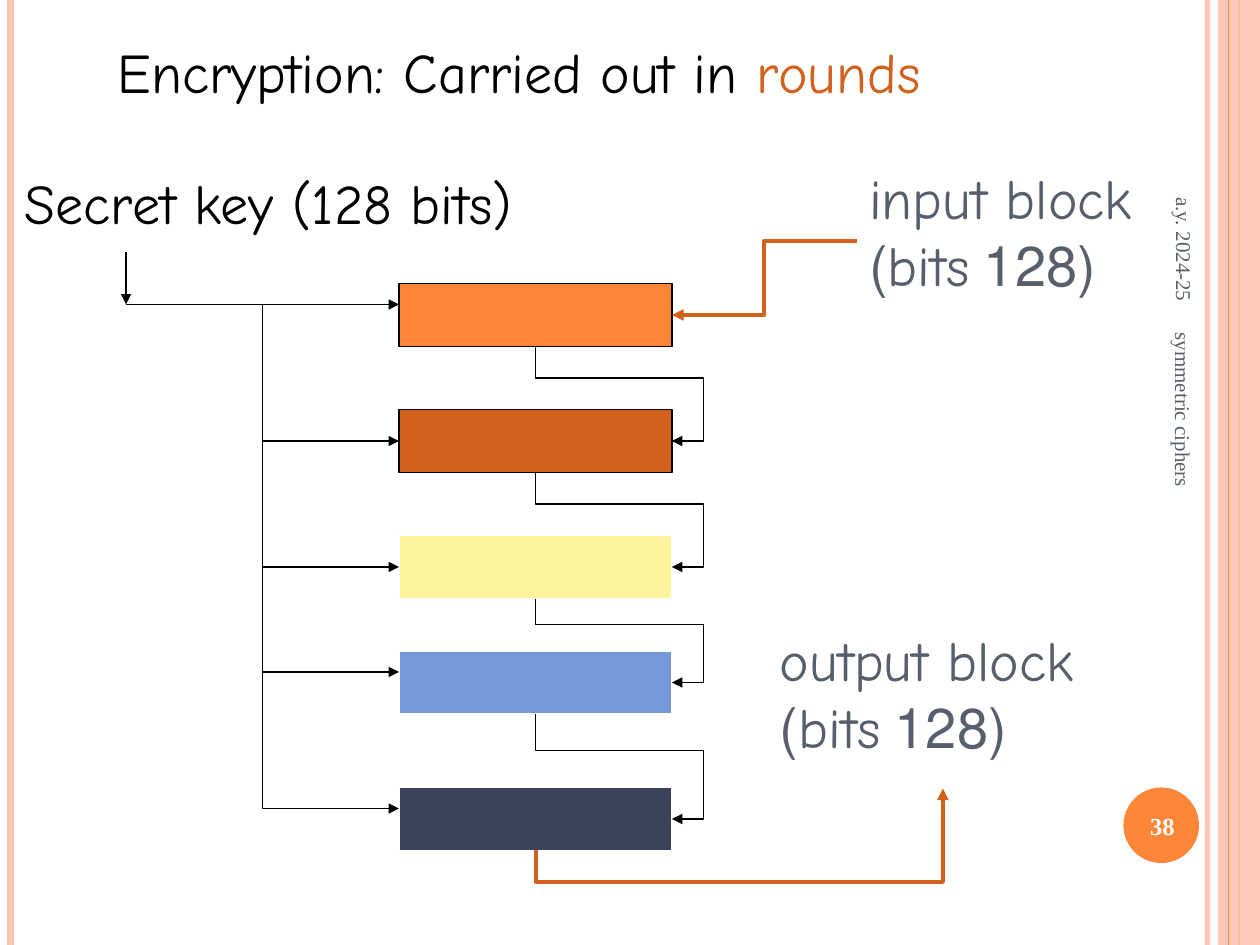
from itertools import pairwise
from lxml.etree import SubElement
from pptx import Presentation
from pptx.dml.color import RGBColor
from pptx.enum.shapes import MSO_CONNECTOR as CONN, MSO_SHAPE as SHAPE
from pptx.enum.text import MSO_ANCHOR as ANCHOR, PP_ALIGN as ALIGN
from pptx.oxml.ns import qn
from pptx.util import Inches, Pt

BLACK, WHITE, ORANGE, RUST = "000000", "FFFFFF", "FE8637", "D2611C"
PINK, SLATE = "FEC3AE", "575F6D"
HAND, SERIF = "Comic Neue", "Times New Roman"


def grid(n):
    """Length of n grid cells; the slide is 120 columns by 90 rows."""
    return Inches(n / 12)


def rgb(color):
    return RGBColor.from_string(color)


def set_alpha(fill, percent):
    color = fill._xPr.find(".//" + qn("a:srgbClr"))
    SubElement(color, qn("a:alpha")).set("val", str(percent * 1000))


class Deck:
    def __init__(self):
        self.prs = Presentation()
        self.prs.slide_width, self.prs.slide_height = grid(120), grid(90)
        self.s = self.prs.slides.add_slide(self.prs.slide_layouts[6])

    def shape(self, kind, x, y, w, h, fill, line=None, alpha=None):
        sp = self.s.shapes.add_shape(kind, *map(grid, (x, y, w, h)))
        sp.shadow.inherit = False
        sp.fill.solid()
        sp.fill.fore_color.rgb = rgb(fill)
        if alpha:
            set_alpha(sp.fill, alpha)
        if line:
            sp.line.color.rgb = rgb(line)
            sp.line.width = Pt(0.75)
        else:
            sp.line.fill.background()

    def line(self, start, end, color=BLACK, width=0.75, arrow=True,
             kind=CONN.STRAIGHT, alpha=None):
        c = self.s.shapes.add_connector(kind, *map(grid, start + end))
        c.line.color.rgb = rgb(color)
        c.line.width = Pt(width)
        if alpha:
            set_alpha(c.line.fill, alpha)
        if arrow:
            SubElement(c.line._get_or_add_ln(), qn("a:tailEnd")).set("type", "triangle")
        SubElement(c._element.spPr, qn("a:effectLst"))
        return c

    def elbow(self, start, end, bends, preset, **style):
        """Bent arrow that leaves vertically; bends are its shares of height, then width."""
        c = self.line(start, end, kind=CONN.ELBOW, **style)
        (x1, y1), (x2, y2) = start, end
        w, h = abs(y2 - y1), abs(x2 - x1)
        c.left, c.top = grid((x1 + x2 - w) / 2), grid((y1 + y2 - h) / 2)
        c.width, c.height = grid(w), grid(h)
        down = y2 > y1
        xfrm = c._element.spPr.find(qn("a:xfrm"))
        xfrm.set("rot", str((270 if down else 90) * 60000))
        xfrm.set("flipH", "1")
        xfrm.set("flipV", "0" if down else "1")
        geom = c._element.spPr.find(qn("a:prstGeom"))
        geom.set("prst", preset)
        guides = geom.find(qn("a:avLst"))
        for i, share in enumerate(bends, 1):
            gd = SubElement(guides, qn("a:gd"))
            gd.set("name", f"adj{i}")
            gd.set("fmla", f"val {round(share * 100000)}")

    def text(self, x, y, w, h, lines, size=32, font=HAND, align=ALIGN.LEFT,
             rtl=True, wrap=False, anchor=ANCHOR.TOP, rotation=0, bold=False):
        """Each line is a list of (text, color) runs."""
        tb = self.s.shapes.add_textbox(*map(grid, (x, y, w, h)))
        tb.rotation = rotation
        tf = tb.text_frame
        tf.word_wrap, tf.vertical_anchor = wrap, anchor
        for i, runs in enumerate(lines):
            p = tf.add_paragraph() if i else tf.paragraphs[0]
            p.alignment = align
            if rtl:
                p._p.get_or_add_pPr().set("rtl", "1")
            for text, color in runs:
                r = p.add_run()
                r.text = text
                r.font.size, r.font.name, r.font.bold = Pt(size), font, bold
                r.font.color.rgb = rgb(color)

    def label(self, x, y, w, h, text, color=SLATE, size=12, **style):
        self.text(x, y, w, h, [[(text, color)]], size, SERIF, rtl=False,
                  wrap=True, anchor=ANCHOR.MIDDLE, **style)


def draw_frame(deck):
    def stripe(x, color, width, alpha=None):
        deck.line((x, 0), (x, 90), color, width, arrow=False, alpha=alpha)

    stripe(115, PINK, 3, 93)
    stripe(1, PINK, 4.5)
    stripe(118, ORANGE, 1.5)
    deck.shape(SHAPE.RECTANGLE, 116, 0, 4, 90, PINK, alpha=87)
    stripe(117, ORANGE, 0.75)
    deck.shape(SHAPE.OVAL, 107, 75, 7.2, 7.2, ORANGE)
    deck.label(99.6, 14.2, 26.4, 5, "a.y. 2024-25", align=ALIGN.RIGHT, rotation=90)
    deck.label(91.7, 49.1, 42, 4.8, "symmetric ciphers", rotation=90)
    deck.label(106.7, 75.2, 8, 6.8, "38", WHITE, 14, align=ALIGN.CENTER, bold=True)


def draw_rounds(deck):
    left, width, height, outside = 38, 26, 6, 67
    right, middle = left + width, left + width / 2
    rounds = [(27, ORANGE, BLACK), (39, RUST, BLACK), (51, "FFF39D", WHITE),
              (62, "7598D9", WHITE), (75, "3B435B", WHITE)]
    for top, fill, line in rounds:
        deck.shape(SHAPE.RECTANGLE, left, top, width, height, fill, line)
    for (top, *_), (following, *_) in pairwise(rounds):
        bottom, entry = top + height, following + height / 2
        gap_share = (following - bottom) / 2 / (entry - bottom)
        deck.elbow((middle, bottom), (right, entry),
                   [gap_share, (outside - middle) / (right - middle)], "bentConnector4")

    deck.line((81.6, 23), (right, 30), RUST, 2.25, kind=CONN.ELBOW)
    bottom, end = 81, 75.1
    deck.elbow((middle, bottom), (89.8, end), [3 / (end - bottom)],
               "bentConnector3", color=RUST, width=2.25)

    trunk, key = 25, 12
    for start, end in ((30, 54), (29, 64), (64, 77)):
        deck.elbow((trunk, start), (left, end), [], "bentConnector2")
    deck.line((trunk, 42), (left, 42))
    deck.line((key, 29), (left, 29))
    deck.line((key, 24), (key, 29))


def main():
    deck = Deck()
    draw_frame(deck)
    deck.text(10, 3, 84.7, 8.6,
              [[("Encryption: Carried out in ", BLACK), ("rounds", RUST)]])
    draw_rounds(deck)
    for x, y, w, name in ((81.6, 15, 29.5, "input"), (73.1, 59, 33.2, "output")):
        deck.text(x, y, w, 16.1, [[(f"{name} block", SLATE)], [("(128 bits)", SLATE)]])
    deck.text(1.2, 15.5, 55.7, 8.6, [[("Secret key (128 bits)", BLACK)]])
    deck.prs.save("out.pptx")


if __name__ == "__main__":
    main()
